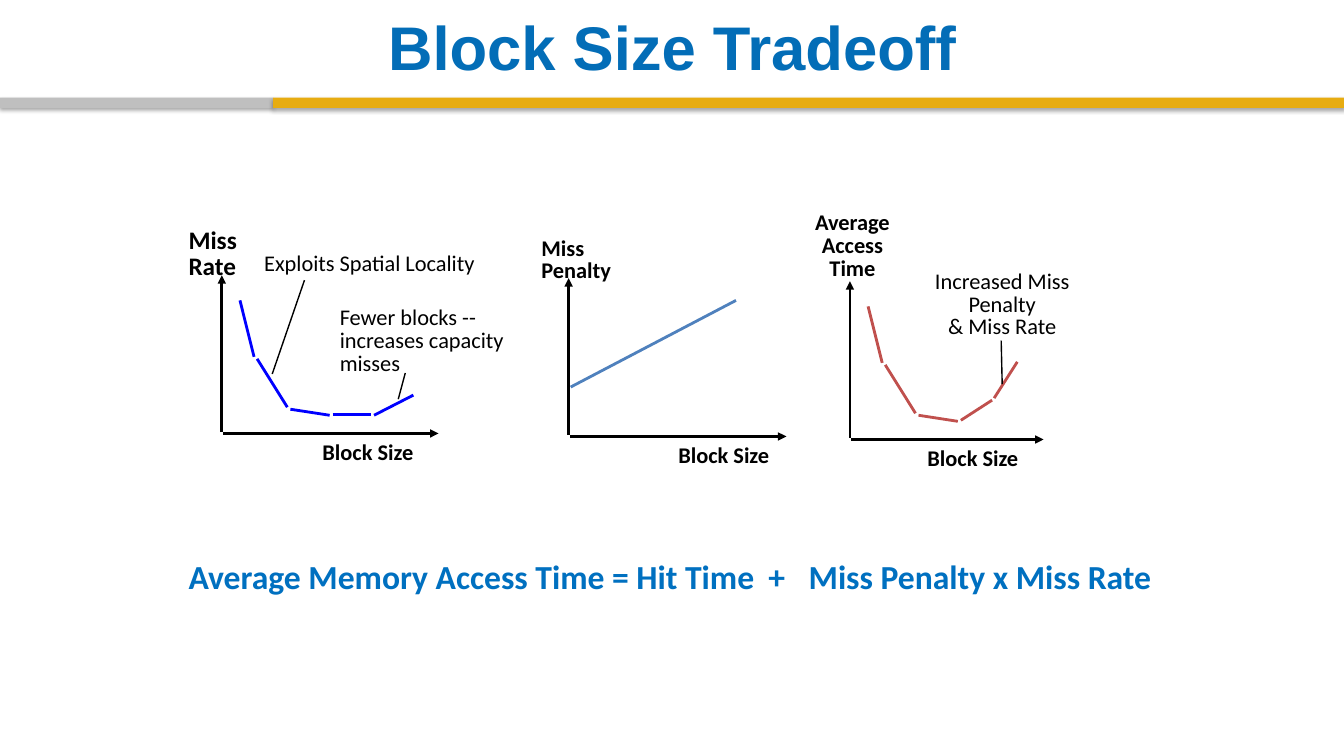
from dataclasses import dataclass

from lxml import etree
from pptx import Presentation
from pptx import util as u
from pptx.dml.color import RGBColor
from pptx.enum import shapes, text
from pptx.oxml import ns

WIDTH, HEIGHT = u.Inches(13.33), u.Inches(7.5)
COLUMNS, ROWS = 133.3, 75
Point = tuple[float, float]
Segment = tuple[Point, Point]


@dataclass(frozen=True)
class Theme:
    black: str = "000000"
    gray: str = "BFBFBF"
    gold: str = "E7AC11"
    title: str = "036DB7"
    formula: str = "0070C0"
    rate: str = "0000FF"
    penalty: str = "4F81BD"
    time: str = "C0504D"
    heading_font: str = "Arial"
    body_font: str = "Calibri"
    heading: float = 44
    statement: float = 24
    emphasis: float = 18
    body: float = 16
    thick: float = 2
    thin: float = 1


THEME = Theme()
TIGHT = (0.7, 0.3)
REGULAR = (1, 0.5)


@dataclass(frozen=True)
class Label:
    lines: tuple[str, ...]
    area: tuple[float, float, float, float]
    size: float = THEME.body
    bold: bool = False
    centered: bool = False
    wrap: bool = False


@dataclass(frozen=True)
class Plot:
    corner: Point
    axis_width: float
    size_label_shift: float
    color: str
    curve: tuple[Segment, ...]
    pointers: tuple[Segment, ...]
    labels: tuple[Label, ...]


AXIS_HEIGHT = 15.7
FALL: tuple[Segment, ...] = (
    ((1.8, -13.2), (3.2, -7.6)),
    ((3.5, -7.4), (6.5, -2.6)),
    ((6.8, -2.4), (10.7, -1.8)),
)
PLOTS = (
    Plot((56.4, 43.3), 21.6, 9.9, THEME.penalty,
         (((0.2, -4.9), (16.6, -13.5)),), (),
         (Label(("Miss", "Penalty"), (53, 23.3, 8.4, 5.2), bold=True),)),
    Plot((22, 43), 21.5, 9, THEME.rate,
         FALL + (((11, -1.9), (14.8, -1.9)), ((15.1, -1.8), (19, -3.8))),
         (((5, -5.9), (8.2, -15.2)), ((17.5, -3.4), (18.2, -6))),
         (Label(("Miss", "Rate"), (18, 22.4, 6.2, 5.7), THEME.emphasis, bold=True),
          Label(("Exploits Spatial Locality",), (25.5, 24.8, 22.5, 2.9)),
          Label(("Fewer blocks -- increases capacity misses",),
                (33, 30.2, 18.5, 7.4), wrap=True))),
    Plot((84.3, 43.6), 19.2, 6.7, THEME.time,
         FALL + (((11, -1.9), (14.1, -3.9)), ((14.3, -4.1), (16.6, -7.7))),
         (((15.1, -5.5), (15, -9.8)),),
         (Label(("Average", "Access", "Time"), (80.1, 20.8, 8.9, 7.4),
                bold=True, centered=True),
          Label(("Increased Miss Penalty", "& Miss Rate"),
                (89, 26.6, 20.8, 7.4), centered=True, wrap=True))),
)


def column(count: float) -> int:
    return round(WIDTH * count / COLUMNS)


def row(count: float) -> int:
    return round(HEIGHT * count / ROWS)


def add_text(parent, lines: tuple[str, ...], area: tuple[float, float, float, float], *,
             size: float = THEME.body, color: str = THEME.black,
             font: str = THEME.body_font, bold: bool = False, centered: bool = False,
             wrap: bool = False, middle: bool = False, spacing: float = 1.0,
             inset: Point = REGULAR, tabs: tuple[float, ...] = ()) -> None:
    left, top, width, height = area
    box = parent.shapes.add_textbox(column(left), row(top), column(width), row(height))
    frame = box.text_frame
    frame.word_wrap = wrap
    frame.margin_left = frame.margin_right = column(inset[0])
    frame.margin_top = frame.margin_bottom = row(inset[1])
    frame.vertical_anchor = text.MSO_ANCHOR.MIDDLE if middle else text.MSO_ANCHOR.TOP
    for index, line in enumerate(lines):
        para = frame.add_paragraph() if index else frame.paragraphs[0]
        para.alignment = text.PP_ALIGN.CENTER if centered else text.PP_ALIGN.LEFT
        para.line_spacing = spacing
        if tabs:
            stops = etree.SubElement(para._p.get_or_add_pPr(), ns.qn("a:tabLst"))
            for stop in tabs:
                etree.SubElement(stops, ns.qn("a:tab"), pos=str(column(stop)), algn="l")
        span = para.add_run()
        span.text = line
        span.font.name = font
        span.font.size = u.Pt(size)
        span.font.bold = bold
        span.font.color.rgb = RGBColor.from_string(color)


def add_line(parent, segment: Segment, origin: Point, color: str,
             weight: float, arrow: bool = False) -> None:
    (x1, y1), (x2, y2) = segment
    x, y = origin
    line = parent.shapes.add_connector(
        shapes.MSO_CONNECTOR.STRAIGHT,
        column(x + x1), row(y + y1), column(x + x2), row(y + y2))
    line.line.color.rgb = RGBColor.from_string(color)
    line.line.width = u.Pt(weight)
    if arrow:
        etree.SubElement(line.line._get_or_add_ln(), ns.qn("a:tailEnd"), type="triangle")
    etree.SubElement(line._element.spPr, ns.qn("a:effectLst"))


def add_bar(page, left: float, width: float, color: str) -> None:
    bar = page.shapes.add_shape(shapes.MSO_SHAPE.RECTANGLE,
                                column(left), row(9.7), column(width), row(1))
    bar.fill.solid()
    bar.fill.fore_color.rgb = RGBColor.from_string(color)
    bar.line.fill.background()
    bar.shadow.inherit = False
    effects = bar._element.spPr.find(ns.qn("a:effectLst"))
    shadow = etree.SubElement(effects, ns.qn("a:outerShdw"), blurRad=str(u.Pt(3.1)),
                              dist=str(u.Pt(1.8)), dir="5400000", rotWithShape="0")
    shade = etree.SubElement(shadow, ns.qn("a:srgbClr"), val=THEME.black)
    etree.SubElement(shade, ns.qn("a:alpha"), val="35000")


def add_plot(page, plot: Plot) -> None:
    group = page.shapes.add_group_shape()
    axes = (((0, -0.15), (0, -AXIS_HEIGHT)), ((0.15, 0), (plot.axis_width, 0)))
    for axis in axes:
        add_line(group, axis, plot.corner, THEME.black, THEME.thick, arrow=True)
    for segment in plot.curve:
        add_line(group, segment, plot.corner, plot.color, THEME.thick)
    for pointer in plot.pointers:
        add_line(group, pointer, plot.corner, THEME.black, THEME.thin)
    for label in plot.labels:
        add_text(group, label.lines, label.area, size=label.size, bold=label.bold,
                 centered=label.centered, wrap=label.wrap, spacing=0.85, inset=TIGHT)
    x, y = plot.corner
    add_text(group, ("Block Size",), (x + plot.size_label_shift, y, 11.1, 3.7), bold=True)


def main() -> None:
    deck = Presentation()
    deck.slide_width, deck.slide_height = WIDTH, HEIGHT
    page = deck.slides.add_slide(deck.slide_layouts[6])
    add_bar(page, 0, 27.1, THEME.gray)
    add_bar(page, 27.1, COLUMNS - 27.1, THEME.gold)
    for plot in PLOTS:
        add_plot(page, plot)
    add_text(page, ("Average Memory Access Time = Hit Time\t+\tMiss Penalty x Miss Rate",),
             (18, 55.3, 100.1, 4.2), size=THEME.statement, color=THEME.formula,
             bold=True, wrap=True, spacing=0.9, inset=TIGHT, tabs=(57.5, 61.5))
    add_text(page, ("Block Size Tradeoff",), (6.7, 0.8, 120, 7.6), size=THEME.heading,
             color=THEME.title, font=THEME.heading_font, bold=True, centered=True,
             wrap=True, middle=True)
    deck.save("out.pptx")


if __name__ == "__main__":
    main()
